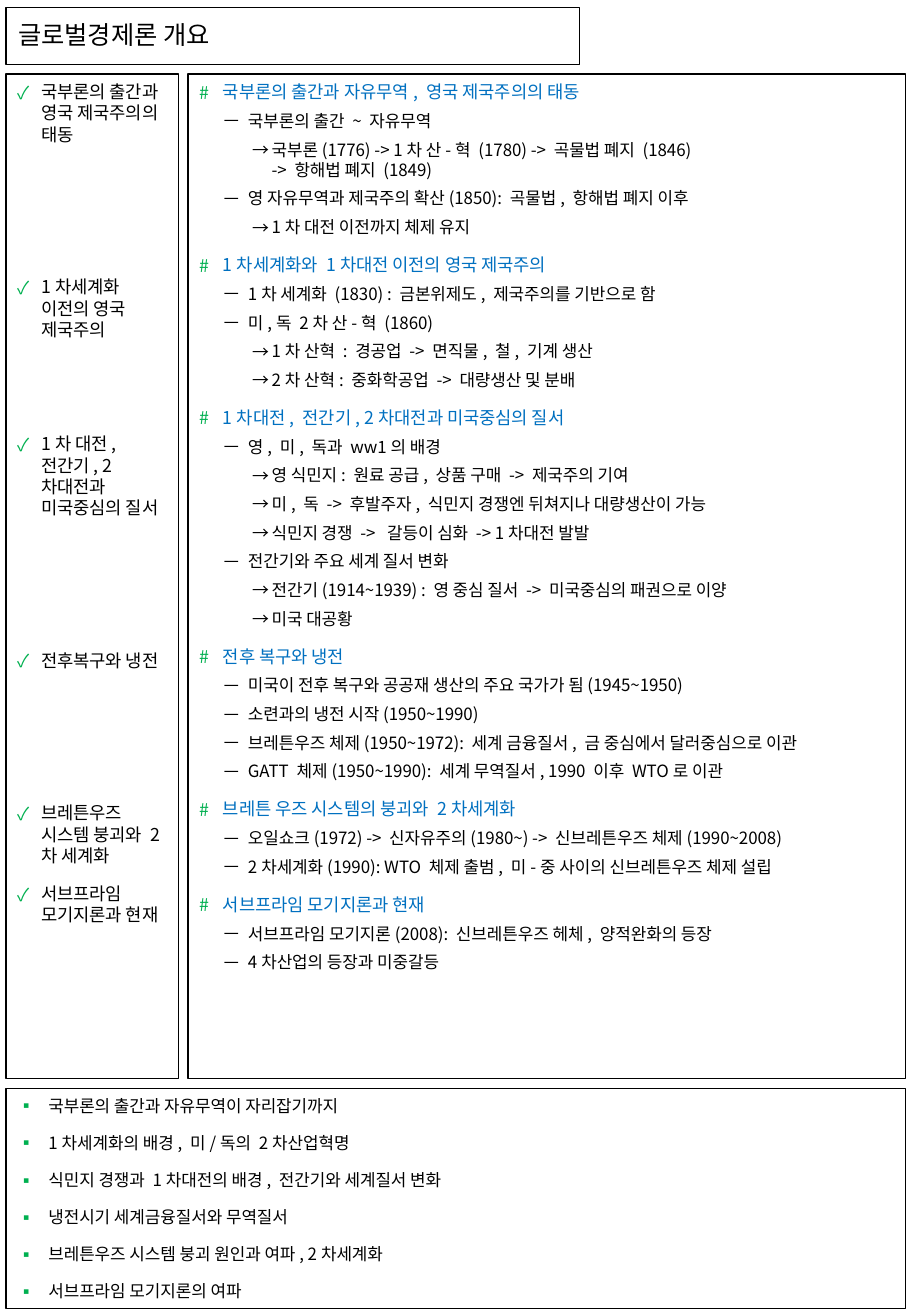
from lxml.etree import SubElement
from pptx import Presentation
from pptx.dml.color import RGBColor
from pptx.enum.text import MSO_ANCHOR
from pptx.oxml.ns import qn
from pptx.util import Pt

FONT = "Noto Sans CJK KR"
BLACK, BLUE, GREEN = "000000", "0070C0", "00B050"
LINE_RATIO = 1.2

TITLE = "글로벌경제론 개요"

TOPICS = [
    ("국부론의 출간과 영국 제국주의의 태동", 0),
    ("1차세계화 이전의 영국 제국주의", 3),
    ("1차 대전, 전간기, 2차대전과 미국중심의 질서", 2),
    ("전후복구와 냉전", 3),
    ("브레튼우즈 시스템 붕괴와 2차 세계화", 3),
    ("서브프라임 모기지론과 현재", 0),
]

OUTLINE = [
    (0, "국부론의 출간과 자유무역, 영국 제국주의의 태동"),
    (1, "국부론의 출간 ~ 자유무역"),
    (2, "국부론(1776) -> 1차 산-혁 (1780) -> 곡물법 폐지 (1846)\v-> 항해법 폐지 (1849)"),
    (1, "영 자유무역과 제국주의 확산(1850): 곡물법, 항해법 폐지 이후"),
    (2, "1차 대전 이전까지 체제 유지"),
    (0, "1차세계화와 1차대전 이전의 영국 제국주의"),
    (1, "1차 세계화 (1830) : 금본위제도, 제국주의를 기반으로 함"),
    (1, "미,독 2차 산-혁 (1860)"),
    (2, "1차 산혁 : 경공업 -> 면직물, 철, 기계 생산"),
    (2, "2차 산혁: 중화학공업 -> 대량생산 및 분배"),
    (0, "1차대전, 전간기, 2차대전과 미국중심의 질서"),
    (1, "영, 미, 독과 ww1의 배경"),
    (2, "영 식민지: 원료 공급, 상품 구매 -> 제국주의 기여"),
    (2, "미, 독 -> 후발주자, 식민지 경쟁엔 뒤쳐지나 대량생산이 가능"),
    (2, "식민지 경쟁 ->  갈등이 심화 -> 1차대전 발발"),
    (1, "전간기와 주요 세계 질서 변화"),
    (2, "전간기(1914~1939) : 영 중심 질서 -> 미국중심의 패권으로 이양"),
    (2, "미국 대공황"),
    (0, "전후 복구와 냉전"),
    (1, "미국이 전후 복구와 공공재 생산의 주요 국가가 됨(1945~1950)"),
    (1, "소련과의 냉전 시작(1950~1990)"),
    (1, "브레튼우즈 체제(1950~1972): 세계 금융질서, 금 중심에서 달러중심으로 이관"),
    (1, "GATT 체제(1950~1990): 세계 무역질서, 1990 이후 WTO로 이관"),
    (0, "브레튼 우즈 시스템의 붕괴와 2차세계화"),
    (1, "오일쇼크(1972) -> 신자유주의(1980~) -> 신브레튼우즈 체제(1990~2008)"),
    (1, "2차세계화(1990): WTO 체제 출범, 미-중 사이의 신브레튼우즈 체제 설립"),
    (0, "서브프라임 모기지론과 현재"),
    (1, "서브프라임 모기지론(2008): 신브레튼우즈 헤체, 양적완화의 등장"),
    (1, "4차산업의 등장과 미중갈등"),
]

SUMMARY = [
    "국부론의 출간과 자유무역이 자리잡기까지",
    "1차세계화의 배경, 미/독의 2차산업혁명",
    "식민지 경쟁과 1차대전의 배경, 전간기와 세계질서 변화",
    "냉전시기 세계금융질서와 무역질서",
    "브레튼우즈 시스템 붕괴 원인과 여파, 2차세계화",
    "서브프라임 모기지론의 여파",
]

TOPIC_STYLE = dict(bullet="✓", bullet_color=GREEN, indent=13.7, hang=13.7, size=10.5, color=BLACK, gap=10)
SUMMARY_STYLE = dict(bullet="▪", bullet_color=GREEN, indent=18, hang=18, size=10, color=BLACK, gap=10)
OUTLINE_STYLES = [
    dict(bullet="#", bullet_color=GREEN, indent=13.7, hang=13.7, size=10.5, color=BLUE, gap=10),
    dict(bullet="ￚ", bullet_color=BLACK, indent=28.5, hang=14.4, size=10, color=BLACK, gap=5),
    dict(bullet="→", bullet_color=BLACK, indent=42.5, hang=11.5, size=10, color=BLACK, gap=5),
]


def rgb(value):
    return RGBColor.from_string(value)


def add_panel(slide, left, top, width, height):
    shape = slide.shapes.add_textbox(Pt(left), Pt(top), Pt(width), Pt(height))
    shape.line.color.rgb = rgb(BLACK)
    shape.line.width = Pt(0.75)
    frame = shape.text_frame
    frame.word_wrap = True
    frame.margin_top = Pt(4)
    return frame


def set_font(paragraph, size, color):
    font = paragraph.font
    font.size = Pt(size)
    font.color.rgb = rgb(color)
    font.name = FONT
    properties = paragraph._p.pPr.find(qn("a:defRPr"))
    SubElement(properties, qn("a:ea"), typeface=FONT)


def add_bullet(paragraph, character, color, indent, hang):
    properties = paragraph._p.get_or_add_pPr()
    properties.set("marL", str(Pt(indent)))
    properties.set("indent", str(-Pt(hang)))
    bullet_color = SubElement(properties, qn("a:buClr"))
    SubElement(bullet_color, qn("a:srgbClr"), val=color)
    SubElement(properties, qn("a:buFont"), typeface=FONT)
    SubElement(properties, qn("a:buChar"), char=character)


def fill_list(frame, items):
    for index, (text, style, skipped) in enumerate(items):
        paragraph = frame.add_paragraph() if index else frame.paragraphs[0]
        paragraph.text = text
        add_bullet(paragraph, style["bullet"], style["bullet_color"], style["indent"], style["hang"])
        line_height = style["size"] * LINE_RATIO
        paragraph.line_spacing = Pt(line_height)
        if index:
            paragraph.space_before = Pt(style["gap"] + skipped * (line_height + style["gap"]))
        set_font(paragraph, style["size"], style["color"])


presentation = Presentation()
presentation.slide_width, presentation.slide_height = Pt(540), Pt(779.76)
slide = presentation.slides.add_slide(presentation.slide_layouts[6])

MARGIN, RIGHT_EDGE = 3.6, 536.9
TOPIC_WIDTH, COLUMN_GAP = 102.4, 5.4
BODY_TOP, BODY_HEIGHT = 43.9, 595.4
outline_left = MARGIN + TOPIC_WIDTH + COLUMN_GAP

title_frame = add_panel(slide, MARGIN, 4.3, 339.8, 34)
title_frame.margin_top = Pt(3.6)
title_frame.vertical_anchor = MSO_ANCHOR.MIDDLE
title_paragraph = title_frame.paragraphs[0]
title_paragraph.text = TITLE
title_paragraph.line_spacing = 0.9
set_font(title_paragraph, 15, BLACK)

topic_frame = add_panel(slide, MARGIN, BODY_TOP, TOPIC_WIDTH, BODY_HEIGHT)
fill_list(topic_frame, [(text, TOPIC_STYLE, skipped) for text, skipped in TOPICS])

outline_frame = add_panel(slide, outline_left, BODY_TOP, RIGHT_EDGE - outline_left, BODY_HEIGHT)
fill_list(outline_frame, [(text, OUTLINE_STYLES[level], 0) for level, text in OUTLINE])

summary_frame = add_panel(slide, MARGIN, 645.1, RIGHT_EDGE - MARGIN, 130.3)
fill_list(summary_frame, [(text, SUMMARY_STYLE, 0) for text in SUMMARY])

presentation.save("out.pptx")
